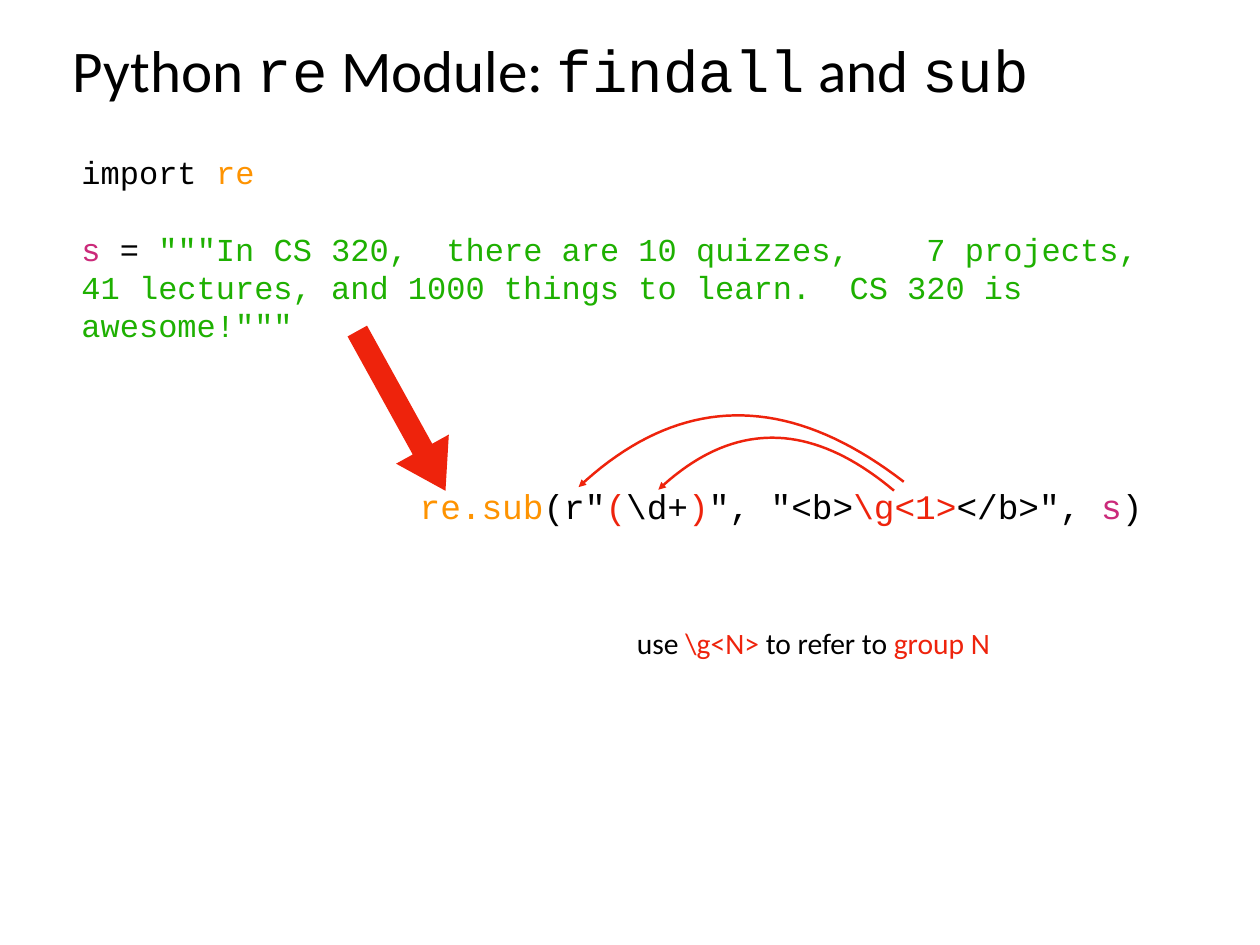
from dataclasses import dataclass

from lxml import etree
from pptx import Presentation
from pptx.dml.color import RGBColor
from pptx.enum.shapes import MSO_SHAPE
from pptx.enum.text import MSO_ANCHOR, MSO_AUTO_SIZE, PP_ALIGN
from pptx.oxml.ns import qn
from pptx.slide import Slide
from pptx.text.text import TextFrame
from pptx.util import Pt

PX = 9144  # 100 px to the inch
INSET = 6 * PX
CURVE_STEPS = 40
LEFT, CENTER = PP_ALIGN.LEFT, PP_ALIGN.CENTER
TOP, MIDDLE = MSO_ANCHOR.TOP, MSO_ANCHOR.MIDDLE
NO_FIT, GROW = MSO_AUTO_SIZE.NONE, MSO_AUTO_SIZE.SHAPE_TO_FIT_TEXT
RIGHT_ARROW = MSO_SHAPE.RIGHT_ARROW


@dataclass(frozen=True)
class Theme:
    black: str = "000000"
    red: str = "EE230C"
    orange: str = "FE9301"
    green: str = "1EB001"
    pink: str = "CB2A7A"
    sans: str = "Calibri"
    mono: str = "Courier New"
    title_size: int = 48
    call_size: int = 28
    code_size: int = 26
    note_size: int = 24
    code_leading: int = 31
    curve_width: int = 2


THEME = Theme()


@dataclass(frozen=True)
class Span:
    text: str
    color: str = THEME.black
    font: str | None = None


@dataclass(frozen=True)
class Line:
    spans: tuple[Span, ...]
    gap_before: int = 0


@dataclass(frozen=True)
class TextBox:
    bounds: tuple[int, int, int, int]
    lines: tuple[Line, ...]
    size: int
    font: str
    align: PP_ALIGN = CENTER
    anchor: MSO_ANCHOR = MIDDLE
    wrap: bool = False
    fit: MSO_AUTO_SIZE = GROW
    leading: int | None = None


@dataclass(frozen=True)
class Curve:
    points: tuple[tuple[int, int], ...]  # start, two controls, end


TITLE = TextBox(
    (76, 28, 1266, 99),
    (Line((
        Span("Python "), Span("re", font=THEME.mono), Span(" Module: "),
        Span("findall", font=THEME.mono), Span(" and "), Span("sub", font=THEME.mono),
    )),),
    THEME.title_size, THEME.sans, align=LEFT, wrap=True, fit=NO_FIT)

SUB_CALL = TextBox(
    (465, 542, 833, 58),
    (Line((
        Span("re.sub", THEME.orange), Span('(r"'), Span("(", THEME.red), Span("\\d+"),
        Span(")", THEME.red), Span('", "<b>'), Span("\\g<1>", THEME.red),
        Span('</b>", '), Span("s", THEME.pink), Span(")"),
    )),),
    THEME.call_size, THEME.mono)

GROUP_NOTE = TextBox(
    (705, 701, 426, 50),
    (Line((
        Span("use "), Span("\\g<N>", THEME.red),
        Span(" to refer to "), Span("group N", THEME.red),
    )),),
    THEME.note_size, THEME.sans)

SOURCE_CODE = TextBox(
    (86, 167, 1232, 226),
    (
        Line((Span("import "), Span("re", THEME.orange))),
        Line((
            Span("s", THEME.pink), Span(" = "),
            Span('"""In CS 320,  there are 10 quizzes,    7 projects,', THEME.green),
        ), gap_before=THEME.code_leading),
        Line((Span('41 lectures, and 1000 things to learn.  CS 320 is awesome!"""',
                   THEME.green),)),
    ),
    THEME.code_size, THEME.mono, align=LEFT, anchor=TOP, wrap=True,
    leading=THEME.code_leading)

GROUP_CURVES = (
    Curve(((653, 550), (766, 444), (888, 442), (1020, 544))),
    Curve(((743, 553), (827, 474), (915, 475), (1009, 554))),
)


def fill_text(frame: TextFrame, box: TextBox) -> None:
    frame.margin_left = frame.margin_right = INSET
    frame.margin_top = frame.margin_bottom = INSET
    frame.vertical_anchor = box.anchor
    frame.word_wrap = box.wrap
    frame.auto_size = box.fit
    for index, line in enumerate(box.lines):
        para = frame.add_paragraph() if index else frame.paragraphs[0]
        para.alignment = box.align
        para.space_before = Pt(line.gap_before)
        if box.leading:
            para.line_spacing = Pt(box.leading)
        para.font.size = Pt(box.size)
        para.font.name = box.font
        for span in line.spans:
            run = para.add_run()
            run.text = span.text
            run.font.color.rgb = RGBColor.from_string(span.color)
            if span.font:
                run.font.name = span.font


def add_text(page: Slide, box: TextBox) -> None:
    shape = page.shapes.add_textbox(*(value * PX for value in box.bounds))
    fill_text(shape.text_frame, box)


def set_title(page: Slide, box: TextBox) -> None:
    title = page.shapes.title
    title.left, title.top, title.width, title.height = (v * PX for v in box.bounds)
    fill_text(title.text_frame, box)


def add_block_arrow(page: Slide) -> None:
    arrow = page.shapes.add_shape(RIGHT_ARROW, 350 * PX, 430 * PX, 206 * PX, 68 * PX)
    arrow.rotation = 61.1
    arrow.adjustments[0] = 0.37
    arrow.adjustments[1] = 0.79
    arrow.fill.solid()
    arrow.fill.fore_color.rgb = RGBColor.from_string(THEME.red)
    arrow.line.fill.background()
    arrow.shadow.inherit = False


def bezier(values: tuple[int, ...], t: float) -> float:
    a, b, c, d = values
    u = 1 - t
    return u**3 * a + 3 * u * u * t * b + 3 * u * t * t * c + t**3 * d


def add_curve(page: Slide, curve: Curve) -> None:
    xs, ys = zip(*curve.points)
    steps = [step / CURVE_STEPS for step in range(CURVE_STEPS + 1)]
    start, *rest = [(round(bezier(xs, t) * PX), round(bezier(ys, t) * PX)) for t in steps]
    builder = page.shapes.build_freeform(*start)
    builder.add_line_segments(rest, close=False)
    arc = builder.convert_to_shape()
    arc.fill.background()
    arc.line.color.rgb = RGBColor.from_string(THEME.red)
    arc.line.width = Pt(THEME.curve_width)
    arc.shadow.inherit = False
    outline = arc.line._get_or_add_ln()
    etree.SubElement(outline, qn("a:headEnd"), type="triangle")


def main() -> None:
    deck = Presentation()
    deck.slide_width, deck.slide_height = 1422 * PX, 1067 * PX
    page = deck.slides.add_slide(deck.slide_layouts.get_by_name("Title Only"))

    # Title and substitution call
    set_title(page, TITLE)
    add_text(page, SUB_CALL)

    # Arrows from the string and between the groups
    add_block_arrow(page)
    for curve in GROUP_CURVES:
        add_curve(page, curve)

    # Note and source code
    add_text(page, GROUP_NOTE)
    add_text(page, SOURCE_CODE)

    deck.save("out.pptx")


if __name__ == "__main__":
    main()
